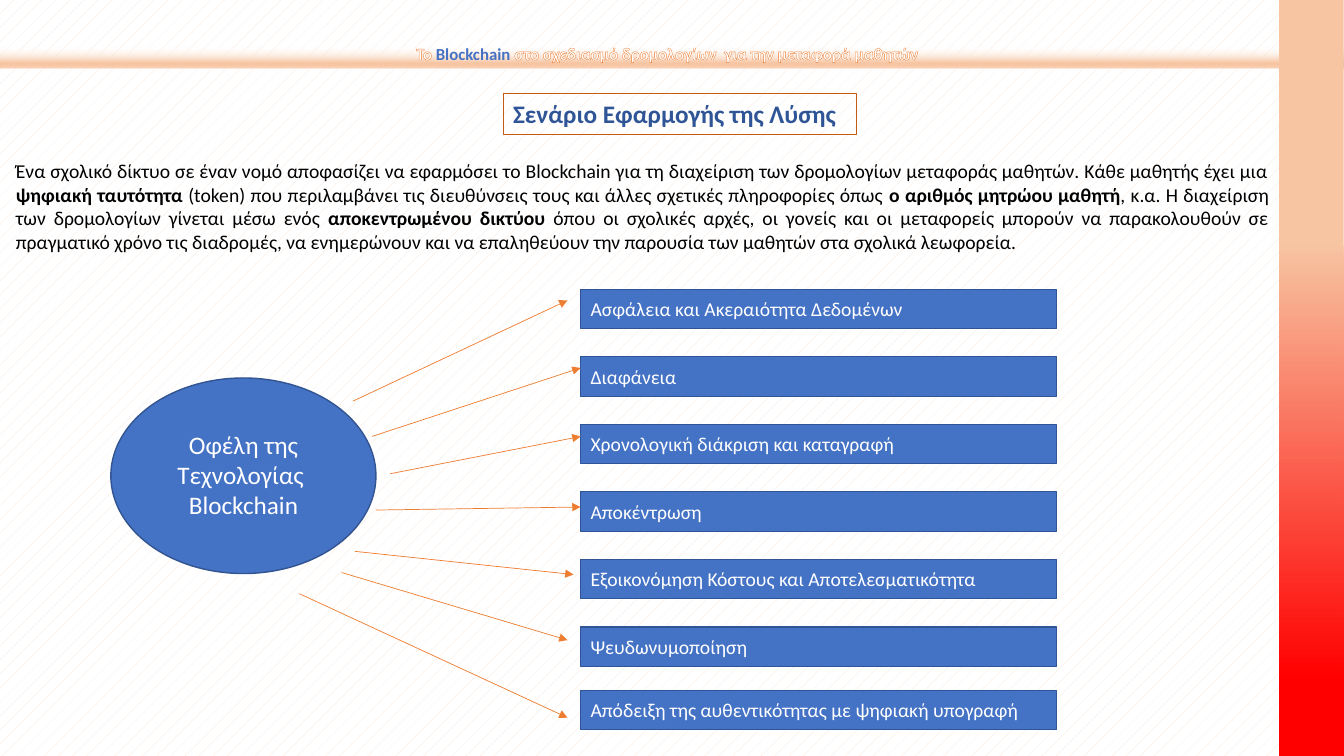
"""Build the slide on the benefits of blockchain for school transport routes."""
from lxml import etree
from pptx import Presentation
from pptx import util as u
from pptx.dml.color import RGBColor
from pptx.enum import dml, shapes, text
from pptx.oxml import parse_xml
from pptx.oxml.ns import nsdecls, qn

WHITE = RGBColor(0xFF, 0xFF, 0xFF)
BLACK = RGBColor(0, 0, 0)
CREAM = RGBColor(0xFB, 0xE5, 0xD6)
PEACH = RGBColor(0xF7, 0xC5, 0xA2)
PALE_PEACH = RGBColor(0xFA, 0xD8, 0xC1)
RED = RGBColor(0xFF, 0, 0)
ORANGE = RGBColor(0xED, 0x7D, 0x31)
RUST = RGBColor(0xC5, 0x5A, 0x11)
BLUE = RGBColor(0x44, 0x72, 0xC4)
NAVY = RGBColor(0x2F, 0x55, 0x97)
OVAL_EDGE = RGBColor(0x32, 0x54, 0x91)
COLS, ROWS = 133.33, 75


def grid(*cells):
    """Turn columns and rows of the slide grid into lengths."""
    return [u.Inches(c / 10) for c in cells]


def style(p, size, color, bold=False):
    """Format every run of a paragraph."""
    for r in p.runs:
        r.font.name, r.font.size, r.font.bold = "Calibri", u.Pt(size), bold
        r.font.color.rgb = color


prs = Presentation()
prs.slide_width, prs.slide_height = grid(COLS, ROWS)
s = prs.slides.add_slide(prs.slide_layouts[5])
bg = s.background.fill
bg.patterned()
bg.pattern = dml.MSO_PATTERN.PERCENT_5
bg.fore_color.rgb, bg.back_color.rgb = CREAM, WHITE

oval = s.shapes.add_shape(shapes.MSO_SHAPE.OVAL, *grid(11, 37.5, 26.3, 19.4))
oval.shadow.inherit = False
oval.fill.solid()
oval.fill.fore_color.rgb = BLUE
oval.line.color.rgb, oval.line.width = OVAL_EDGE, u.Pt(1)

bands = [
    ((0, 4.6, COLS, 2.2), [(0, WHITE, 2), (74, PEACH, 100), (83, PEACH, 100), (100, PALE_PEACH, 100)]),
    ((126.9, 0, 6.4, ROWS), [(32, PEACH, 100), (90, RED, 100)]),
]
for cells, stops in bands:
    sp = s.shapes.add_shape(shapes.MSO_SHAPE.RECTANGLE, *grid(*cells))
    sp.shadow.inherit = False
    sp.line.fill.background()
    sp.fill.gradient()
    grad = sp.fill._xPr.find(qn("a:gradFill"))
    marks = "".join(
        f'<a:gs pos="{pos * 1000}"><a:srgbClr val="{color}">'
        f'<a:alpha val="{alpha * 1000}"/></a:srgbClr></a:gs>'
        for pos, color, alpha in stops)
    grad.getparent().replace(grad, parse_xml(
        f'<a:gradFill {nsdecls("a")} rotWithShape="1"><a:gsLst>{marks}</a:gsLst>'
        '<a:lin ang="5400000" scaled="0"/></a:gradFill>'))

header = s.shapes.add_textbox(*grid(40.3, 3.8, 52.7, 3))
header.text_frame.word_wrap = True
p = header.text_frame.paragraphs[0]
for words in ("To ", "Blockchain ", "στο σχεδιασμό δρομολογίων  για την μεταφορά μαθητών"):
    p.add_run().text = words
style(p, 12, WHITE, True)
p.runs[1].font.color.rgb = BLUE
for r in (p.runs[0], p.runs[2]):
    r.font._element.insert(0, parse_xml(
        f'<a:ln {nsdecls("a")} w="6600"><a:solidFill><a:srgbClr val="{ORANGE}"/></a:solidFill></a:ln>'))

title = s.shapes.title
title.left, title.top, title.width, title.height = grid(49.9, 9.3, 35.1, 4)
title.line.color.rgb, title.line.width = RUST, u.Pt(0.75)
tf = title.text_frame
tf.text = "Σενάριο Εφαρμογής της Λύσης"
tf.word_wrap, tf.auto_size = True, text.MSO_AUTO_SIZE.NONE
tf.vertical_anchor = text.MSO_ANCHOR.TOP
tf.paragraphs[0].alignment = text.PP_ALIGN.LEFT
style(tf.paragraphs[0], 18, NAVY, True)

story = [
    "Ένα σχολικό δίκτυο σε έναν νομό αποφασίζει να εφαρμόσει το Blockchain για τη διαχείριση "
    "των δρομολογίων μεταφοράς μαθητών. Κάθε μαθητής έχει μια ",
    "ψηφιακή ταυτότητα ",
    "(token) που περιλαμβάνει τις διευθύνσεις τους και άλλες σχετικές πληροφορίες όπως ",
    "ο αριθμός μητρώου μαθητή",
    ", κ.α. Η διαχείριση των δρομολογίων γίνεται μέσω ενός ",
    "αποκεντρωμένου δικτύου ",
    "όπου οι σχολικές αρχές, οι γονείς και οι μεταφορείς μπορούν να παρακολουθούν σε "
    "πραγματικό χρόνο τις διαδρομές, να ενημερώνουν και να επαληθεύουν την παρουσία των "
    "μαθητών στα σχολικά λεωφορεία.",
]
scenario = s.shapes.add_textbox(*grid(0.6, 15.3, 126.3, 10.4))
scenario.text_frame.word_wrap = True
p = scenario.text_frame.paragraphs[0]
p.alignment = text.PP_ALIGN.JUSTIFY
for words in story:
    p.add_run().text = words
style(p, 14, BLACK)
for r in p.runs[1::2]:
    r.font.bold = True

label = s.shapes.add_textbox(*grid(11.7, 42.1, 24.9, 10.1))
tf = label.text_frame
tf.word_wrap = True
tf.text = "Οφέλη της Τεχνολογίας \nBlockchain"
for p in tf.paragraphs:
    p.alignment = text.PP_ALIGN.CENTER
    style(p, 18, WHITE)

benefits = [
    ("Ασφάλεια και Ακεραιότητα Δεδομένων", (35, 39.8, 56.3, 29.8)),
    ("Διαφάνεια", (36.9, 43.3, 57.6, 36.5)),
    ("Χρονολογική διάκριση και καταγραφή", (38.7, 47, 57.6, 43.3)),
    ("Αποκέντρωση", (37.3, 50.6, 57.6, 50.3)),
    ("Εξοικονόμηση Κόστους και Αποτελεσματικότητα", (35.2, 54.7, 56.9, 57)),
    ("Ψευδωνυμοποίηση", (33.9, 56.8, 56.3, 63.5)),
    ("Απόδειξη της αυθεντικότητας με ψηφιακή υπογραφή", (29.7, 58.9, 56.3, 71.2)),
]
for i, (words, ends) in enumerate(benefits):
    top = min(28.7 + 6.7 * i, 68.5)
    sp = s.shapes.add_shape(shapes.MSO_SHAPE.RECTANGLE, *grid(57.6, top, 47.2, 3.9))
    sp.shadow.inherit = False
    sp.fill.solid()
    sp.fill.fore_color.rgb = BLUE
    sp.line.color.rgb = NAVY
    sp.line.width = u.Pt(1 if i == len(benefits) - 1 else 0.75)
    tf = sp.text_frame
    tf.text = words
    tf.vertical_anchor = text.MSO_ANCHOR.MIDDLE
    tf.paragraphs[0].alignment = text.PP_ALIGN.LEFT
    style(tf.paragraphs[0], 14, WHITE)

    arrow = s.shapes.add_connector(shapes.MSO_CONNECTOR.STRAIGHT, *grid(*ends))
    arrow.line.color.rgb, arrow.line.width = ORANGE, u.Pt(0.5)
    etree.SubElement(arrow.line._get_or_add_ln(), qn("a:tailEnd"), type="triangle")
    etree.SubElement(arrow._element.spPr, qn("a:effectLst"))

prs.save("out.pptx")
